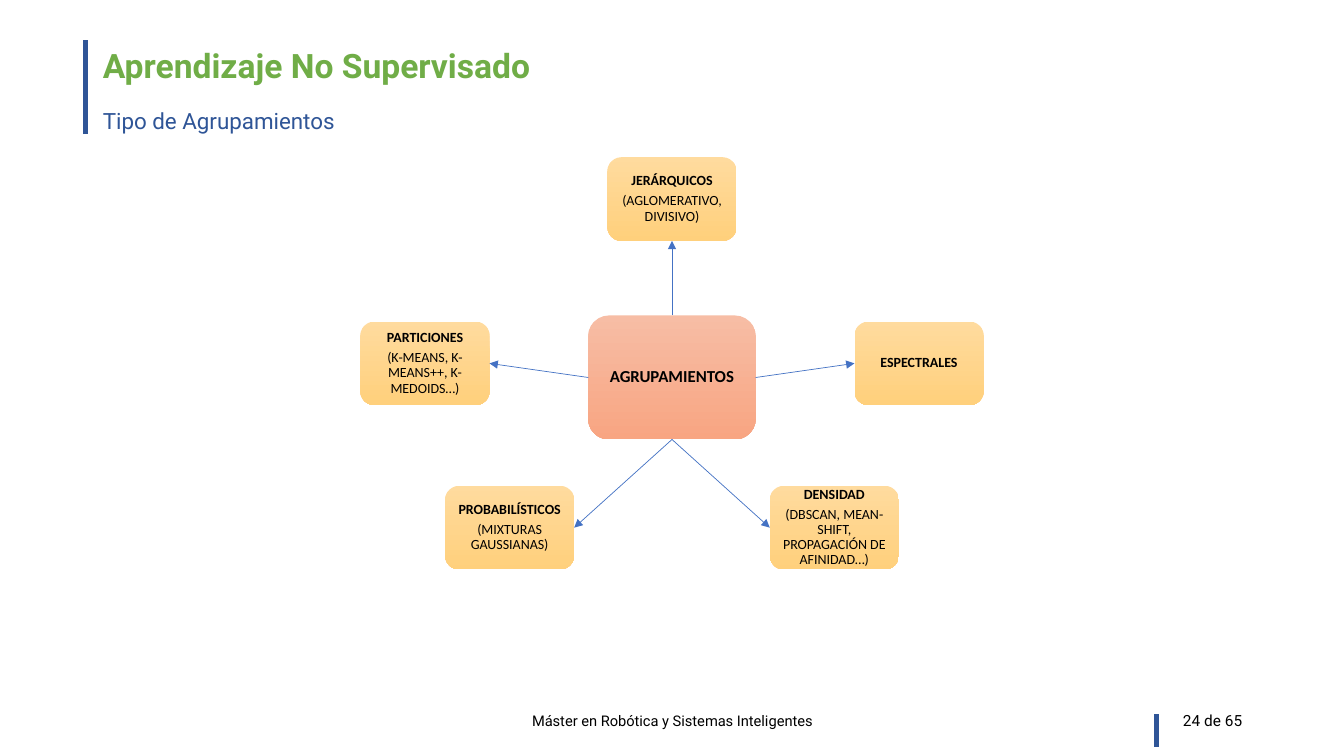
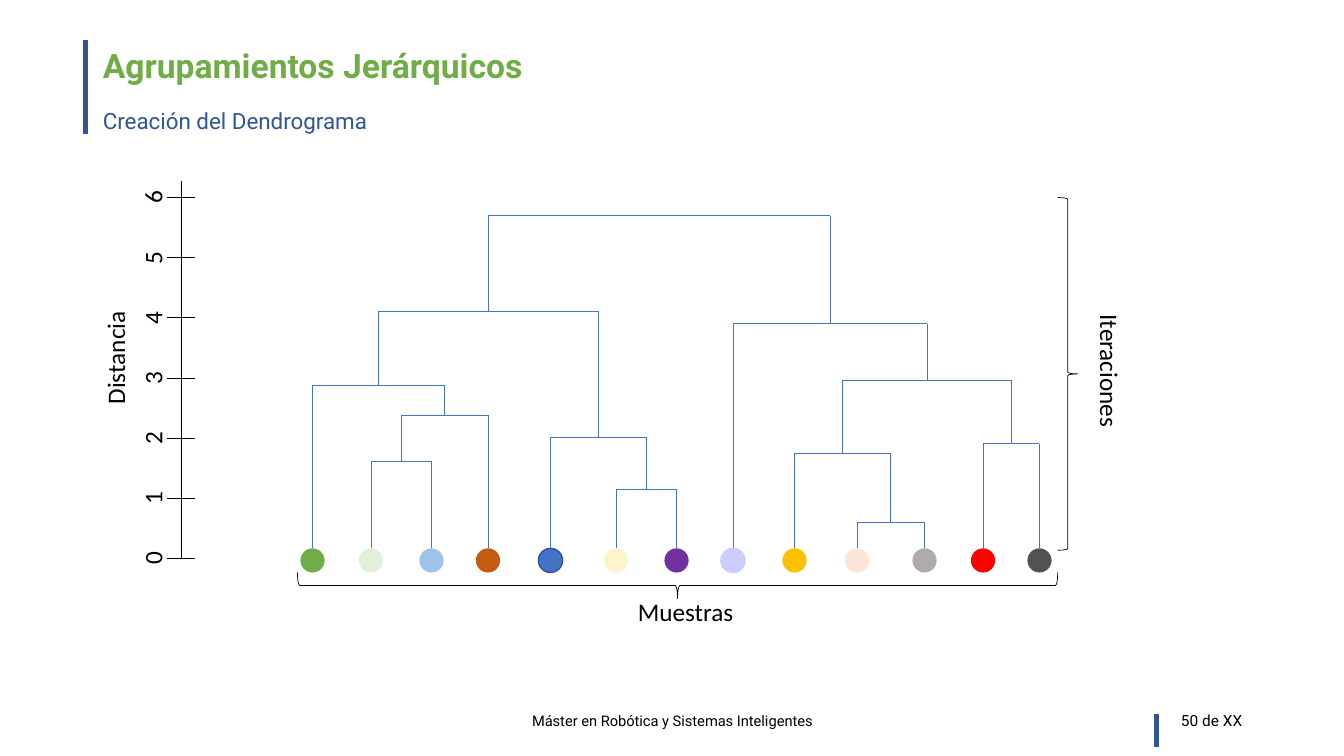
import lxml.etree
import pptx
import pptx.dml.color
import pptx.enum.shapes
import pptx.enum.text
import pptx.oxml.ns
import pptx.util

PX = 9144  # one px is a hundredth of an inch
WIDE, HIGH = 1333, 750
NAVY, GREEN, BLUE, BLACK = "2F5597", "70AD47", "4472C4", "000000"
HUB = ("F7BDA5", "F8A582")
CARD = ("FFDB9E", "FFD07C")
HEAD, BODY = "Roboto", "Calibri"
FOOT = "Máster en Robótica y Sistemas Inteligentes"

KIND = pptx.enum.shapes.MSO_SHAPE
LEFT = pptx.enum.text.PP_ALIGN.LEFT
MID = pptx.enum.text.PP_ALIGN.CENTER
RIGHT = pptx.enum.text.PP_ALIGN.RIGHT
TOP = pptx.enum.text.MSO_ANCHOR.TOP
CENTER = pptx.enum.text.MSO_ANCHOR.MIDDLE
qn = pptx.oxml.ns.qn


def px(*nums):
    return [pptx.util.Emu(round(n * PX)) for n in nums]


def tint(code):
    return pptx.dml.color.RGBColor.from_string(code)


# Shared parts
def style(para, size, color, font=BODY, bold=False, align=MID):
    para.alignment = align
    para.font.size = pptx.util.Pt(size)
    para.font.name = font
    para.font.bold = bold
    para.font.color.rgb = tint(color)


def line(slide, x1, y1, x2, y2, color, width=0.5, arrow=False):
    link = slide.shapes.add_connector(
        pptx.enum.shapes.MSO_CONNECTOR.STRAIGHT, *px(x1, y1, x2, y2))
    link.line.color.rgb = tint(color)
    link.line.width = pptx.util.Pt(width)
    props = link.element.spPr
    if arrow:
        lxml.etree.SubElement(props.find(qn("a:ln")), qn("a:tailEnd"), type="triangle")
    lxml.etree.SubElement(props, qn("a:effectLst"))
    return link


def shape(slide, kind, box, fill=None, edge=None, width=1):
    item = slide.shapes.add_shape(kind, *px(*box))
    item.shadow.inherit = False
    if fill:
        item.fill.solid()
        item.fill.fore_color.rgb = tint(fill)
    else:
        item.fill.background()
    if edge:
        item.line.color.rgb = tint(edge)
        item.line.width = pptx.util.Pt(width)
    else:
        item.line.fill.background()
    return item


def text(slide, words, box, size, font=BODY, align=MID):
    item = slide.shapes.add_textbox(*px(*box))
    frame = item.text_frame
    frame.word_wrap = True
    frame.vertical_anchor = CENTER
    frame.text = words
    style(frame.paragraphs[0], size, BLACK, font, align=align)
    return item


def label(slide, words, x, y, turn=0, width=140):
    """Put one unwrapped line of text around the point x, y."""
    item = text(slide, words, (x - width / 2, y - 20, width, 40), 18)
    item.text_frame.word_wrap = False
    item.rotation = turn


def holder(item, words, box, size, color, bold, anchor):
    item.left, item.top, item.width, item.height = px(*box)
    frame = item.text_frame
    frame.text = words
    frame.auto_size = pptx.enum.text.MSO_AUTO_SIZE.NONE
    frame.vertical_anchor = anchor
    para = frame.paragraphs[0]
    props = para._p.get_or_add_pPr()
    props.set("marL", "0")
    props.set("indent", "0")
    lxml.etree.SubElement(props, qn("a:buNone"))
    para.line_spacing = 0.9
    para.space_before = pptx.util.Pt(0)
    style(para, size, color, HEAD, bold, LEFT)


def page(deck, title, topic, count):
    """Add a slide with its heading, rules and footer."""
    slide = deck.slides.add_slide(deck.slide_layouts[1])
    line(slide, 85, 133, 85, 40, NAVY, 3.25)
    line(slide, 1147, 741, 1147, 708, NAVY, 3.25)
    holder(slide.shapes.title, title, (92, 40, 1150, 55), 24, GREEN, True, CENTER)
    holder(slide.placeholders[1], topic, (92, 104, 1150, 53), 16, NAVY, False, TOP)
    text(slide, FOOT, (442, 695, 450, 40), 10.5, HEAD)
    text(slide, count, (942, 695, 300, 40), 11, HEAD, RIGHT)
    return slide


# Map of cluster types
def card(slide, box, fills, size, lines):
    item = shape(slide, KIND.ROUNDED_RECTANGLE, box)
    item.fill.gradient()
    item.fill.gradient_angle = 270
    for stop, code in zip(item.fill.gradient_stops, fills):
        stop.color.rgb = tint(code)
    frame = item.text_frame
    frame.word_wrap = True
    frame.vertical_anchor = CENTER
    frame.margin_left, frame.margin_right, frame.margin_top, frame.margin_bottom = px(8, 8, 8, 8)
    for i, words in enumerate(lines):
        para = frame.add_paragraph() if i else frame.paragraphs[0]
        para.text = words
        para.line_spacing = 0.9
        if i:
            para.space_before = pptx.util.Pt(3.5)
        style(para, size, BLACK, bold=i == 0)
    return item


# Offset from the middle, row, side of the hub, side of the card, lines
TYPES = [
    (-245, 1, 1, 3, ["PARTICIONES", "(K-MEANS, K-MEANS++, K-MEDOIDS…)"]),
    (161, 2, 2, 1, ["DENSIDAD", "(DBSCAN, MEAN-SHIFT, PROPAGACIÓN DE AFINIDAD…)"]),
    (0, 0, 0, 2, ["JERÁRQUICOS", "(AGLOMERATIVO, DIVISIVO)"]),
    (245, 1, 3, 1, ["ESPECTRALES"]),
    (-161, 2, 2, 3, ["PROBABILÍSTICOS", "(MIXTURAS GAUSSIANAS)"]),
]


def draw_map(slide, left, top, width):
    mid = left + width / 2
    hub = card(slide, (mid - 83, top + 157, 166, 123), HUB, 12, ["AGRUPAMIENTOS"])
    for shift, row, start, end, lines in TYPES:
        box = (mid + shift - 64, top + 163 * row, 128, 83)
        item = card(slide, box, CARD, 10, lines)
        link = line(slide, 0, 0, 1, 1, BLUE, arrow=True)
        link.begin_connect(hub, start)
        link.end_connect(item, end)


# Tree of samples: middle, fill and edge of each leaf
LEAVES = [
    (15, GREEN, None), (73, "E2F0D9", None), (133, "9DC3E6", None),
    (189, "C55A11", None), (251, BLUE, NAVY), (316, "FFF2CC", None),
    (376, "7030A0", None), (432, "CCCCFF", "CCCCFF"), (493, "FFC000", None),
    (555, "FBE5D6", None), (622, "AFABAB", None), (680, "FF0000", None),
    (736, "525252", None),
]
# Two nodes and the height of their bar; each join becomes the next node
JOINS = [
    (1, 2, 262), (13, 3, 216), (0, 14, 186), (5, 6, 289), (4, 16, 238),
    (15, 17, 113), (9, 10, 322), (8, 19, 254), (11, 12, 244),
    (20, 21, 181), (7, 22, 125), (18, 23, 18),
]


def draw_tree(slide, left, top, width, height):
    nodes = []
    for x, fill, edge in LEAVES:
        shape(slide, KIND.OVAL, (left + x - 12, top + height - 2, 24, 24), fill, edge)
        nodes.append((left + x, top + height - 2))
    for one, two, drop in JOINS:
        (x1, y1), (x2, y2) = nodes[one], nodes[two]
        bar = top + drop
        for ends in ((x1, y1, x1, bar), (x2, y2, x2, bar), (x1, bar, x2, bar)):
            line(slide, *ends, BLUE)
        nodes.append(((x1 + x2) / 2, bar))
    # Braces around the tree
    right = left + width
    shape(slide, KIND.RIGHT_BRACE, (right, top, 20, height), edge=BLACK, width=0.5)
    label(slide, "Iteraciones", right + 52, top + 172, 90)
    mid, low = left + width / 2, top + height + 35
    brace = shape(slide, KIND.RIGHT_BRACE, (mid - 13, low - width / 2, 26, width),
                  edge=BLACK, width=0.5)
    brace.rotation = 90
    label(slide, "Muestras", mid + 8, low + 26)


def draw_axis(slide, left, top, height, count=6):
    line(slide, left, top - 16, left, top + height, BLACK)
    for i in range(count + 1):
        y = top + height - i * height / count
        line(slide, left + 13, y, left - 14, y, BLACK)
        label(slide, str(i), left - 29, y, 270, 34)
    label(slide, "Distancia", left - 66, top + 159, 270)


def main():
    deck = pptx.Presentation()
    deck.slide_width, deck.slide_height = px(WIDE, HIGH)
    slide = page(deck, "Aprendizaje No Supervisado", "Tipo de Agrupamientos", "24 de 65")
    draw_map(slide, 358, 156, 617)
    slide = page(deck, "Agrupamientos Jerárquicos", "Creación del Dendrograma", "50 de XX")
    draw_tree(slide, 295, 196, 754, 350)
    draw_axis(slide, 180, 196, 358)
    deck.save("out.pptx")


if __name__ == "__main__":
    main()
